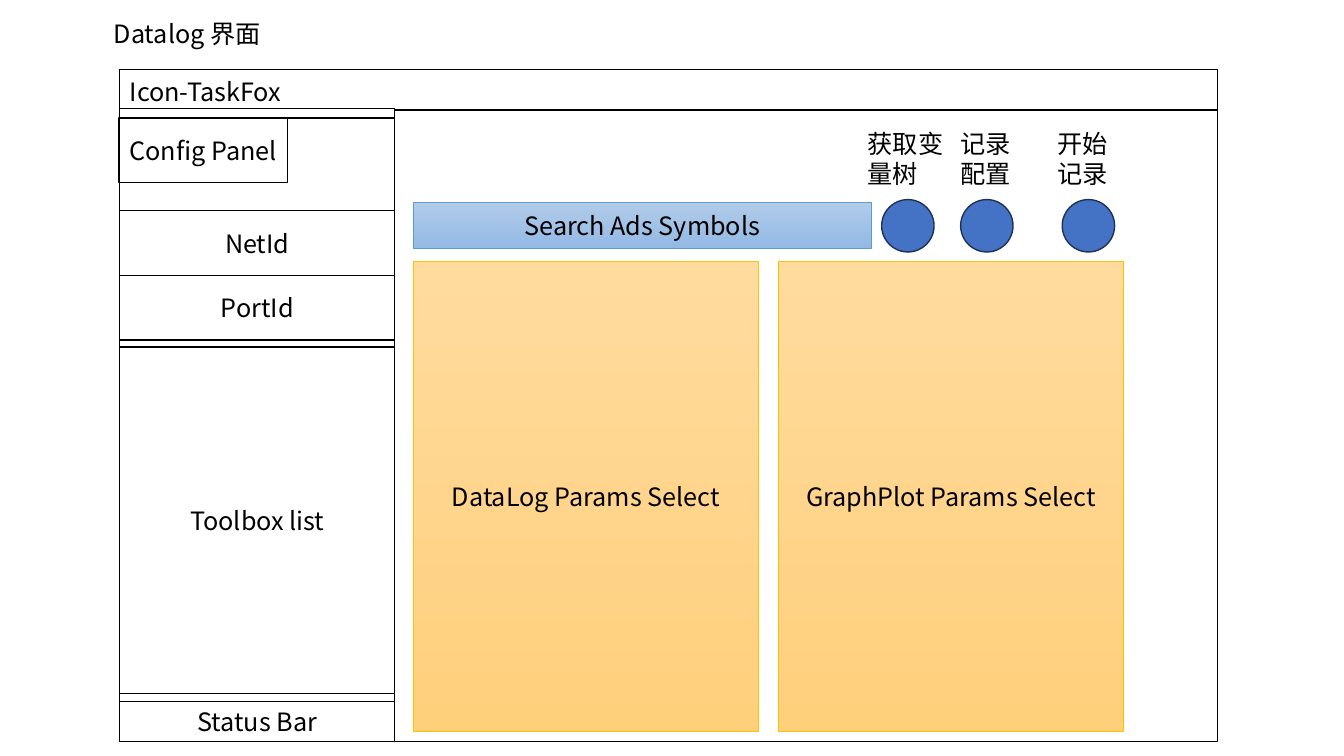
from pptx import Presentation
from pptx.dml.color import RGBColor
from pptx.enum.shapes import MSO_SHAPE
from pptx.enum.text import MSO_ANCHOR, PP_ALIGN
from pptx.oxml.ns import qn
from pptx.util import Cm, Pt
from lxml.etree import SubElement

FONT = "Noto Sans CJK SC"
BLACK = RGBColor(0x00, 0x00, 0x00)
WHITE = RGBColor(0xFF, 0xFF, 0xFF)
BLUE = RGBColor(0x44, 0x72, 0xC4)
NAVY = RGBColor(0x1E, 0x32, 0x56)
GOLD = RGBColor(0xFF, 0xC0, 0x00)
SKY = RGBColor(0x5B, 0x9B, 0xD5)
GOLD_FADE = (RGBColor(0xFF, 0xDB, 0x9E), RGBColor(0xFF, 0xD0, 0x7C))
SKY_FADE = (RGBColor(0xB1, 0xCB, 0xE9), RGBColor(0x93, 0xB9, 0xE4))

# Content (lengths in cm)
TITLE = "Datalog 界面"
WINDOW_TITLE = "Icon-TaskFox"
SIDEBAR = [  # text, top, height
    ("", 2.74, 15.95),
    ("Status Bar", 17.68, 1.01),
    ("Toolbox list", 8.74, 8.74),
    ("", 2.97, 5.56),
    ("NetId", 5.31, 1.63),
    ("PortId", 6.94, 1.63),
]
PANELS = ["DataLog Params Select", "GraphPlot Params Select"]
BUTTONS = [  # label, label left, circle left
    ("获取变量树", 21.62, 22.22),
    ("记录\v配置", 23.95, 24.21),
    ("开始\v记录", 26.39, 26.77),
]

# Layout
LEFT, TOP, WIDTH, HEIGHT = 3.02, 1.75, 27.66, 16.94
BAR_H, SIDE_W = 1.02, 6.93
MAIN_LEFT, PANEL_TOP = 10.41, 6.58
PANEL_W, PANEL_H, PANEL_STEP = 8.71, 11.84, 9.2
CIRCLE = 1.32

prs = Presentation()
prs.slide_width, prs.slide_height = Cm(33.87), Cm(19.05)
s = prs.slides.add_slide(prs.slide_layouts[6])


def write(tf, text, align):
    tf.word_wrap = True
    p = tf.paragraphs[0]
    p.text = text
    p.alignment = align
    for r in p.runs:
        r.font.name, r.font.size = FONT, Pt(18)
        r.font.color.rgb = BLACK
        SubElement(r.font._element, qn("a:ea"), typeface=FONT)


def label(text, x, y, w, h):
    write(s.shapes.add_textbox(Cm(x), Cm(y), Cm(w), Cm(h)).text_frame,
          text, PP_ALIGN.LEFT)


def box(text, x, y, w, h, fill=WHITE, line=BLACK, weight=1,
        kind=MSO_SHAPE.RECTANGLE):
    sp = s.shapes.add_shape(kind, Cm(x), Cm(y), Cm(w), Cm(h))
    sp.shadow.inherit = False
    sp.line.color.rgb, sp.line.width = line, Pt(weight)
    if isinstance(fill, RGBColor):
        sp.fill.solid()
        sp.fill.fore_color.rgb = fill
    else:
        sp.fill.gradient()
        sp.fill.gradient_angle = 270
        for stop, color in zip(sp.fill.gradient_stops, fill):
            stop.color.rgb = color
    if text:
        tf = sp.text_frame
        tf.margin_left = tf.margin_right = Cm(0.1)
        tf.vertical_anchor = MSO_ANCHOR.MIDDLE
        write(tf, text, PP_ALIGN.CENTER)


# Window frame and title bar
label(TITLE, 2.62, 0.33, 5, BAR_H)
box("", LEFT, TOP, WIDTH, HEIGHT)
box("", LEFT, TOP, WIDTH, BAR_H)
label(WINDOW_TITLE, LEFT, 1.8, SIDE_W, BAR_H)

# Sidebar
for text, y, h in SIDEBAR:
    box(text, LEFT, y, SIDE_W, h)
box("Config Panel", 3, 2.97, 4.24, 1.63)

# Parameter panels and search bar
for i, text in enumerate(PANELS):
    box(text, MAIN_LEFT + i * PANEL_STEP, PANEL_TOP, PANEL_W, PANEL_H,
        GOLD_FADE, GOLD, 0.5)
box("Search Ads Symbols", MAIN_LEFT, 5.11, 11.56, 1.14, SKY_FADE, SKY, 0.5)

# Round buttons with labels
for text, label_x, circle_x in BUTTONS:
    box("", circle_x, 5.03, CIRCLE, CIRCLE, BLUE, NAVY, kind=MSO_SHAPE.OVAL)
    label(text, label_x, 3.1, 2.44, 1.8)

prs.save("out.pptx")
